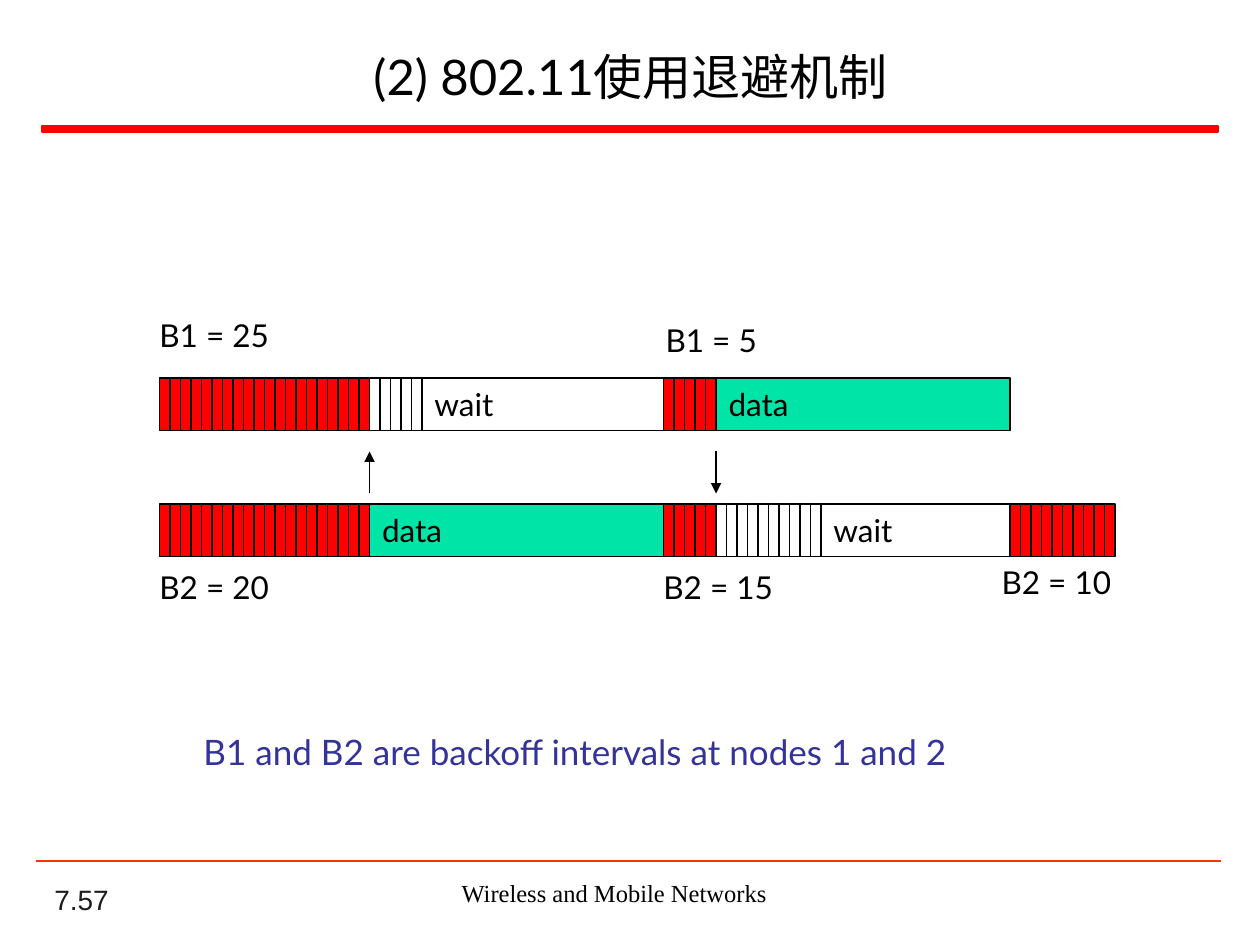
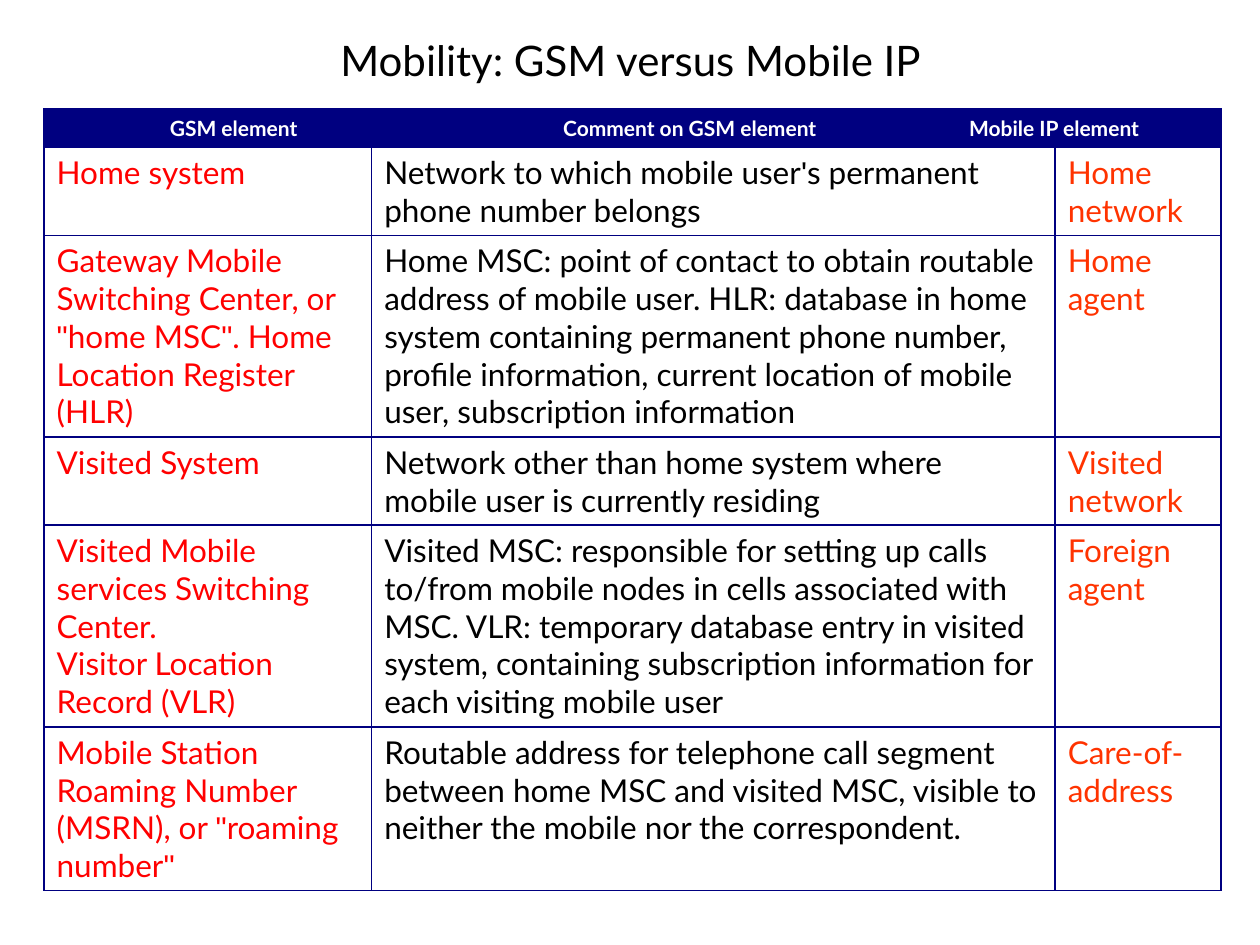
from dataclasses import dataclass
from itertools import groupby

from lxml.etree import SubElement
from pptx import Presentation
from pptx.dml.color import RGBColor
from pptx.enum.shapes import MSO_CONNECTOR, MSO_SHAPE
from pptx.enum.text import MSO_ANCHOR, PP_ALIGN
from pptx.oxml.ns import qn
from pptx.util import Inches, Pt


@dataclass(frozen=True)
class Theme:
    black: str = "000000"
    white: str = "FFFFFF"
    ink: str = "1C1C1C"
    red: str = "FF0000"
    orange: str = "FF3300"
    green: str = "00E4A8"
    indigo: str = "333399"
    navy: str = "000080"
    body: str = "Lato"
    sans: str = "Arial"
    serif: str = "Times New Roman"
    title: float = 28
    table_title: float = 24
    caption: float = 20
    text: float = 18
    number: float = 16
    footer: float = 14
    header: float = 12
    hairline: float = 0.75


T = Theme()
WIDTH, HEIGHT = Inches(10), Inches(7.5)
COLS, ROWS = 120, 90
LANE_LEFT, LANE_DEPTH = 15.2, 5
LEFT, CENTER = PP_ALIGN.LEFT, PP_ALIGN.CENTER
TOP, MIDDLE, BOTTOM = MSO_ANCHOR.TOP, MSO_ANCHOR.MIDDLE, MSO_ANCHOR.BOTTOM

LANES = [
    (36, [(20, "red", None), (5, None, None), (23, None, "wait"),
          (5, "red", None), (28, "green", "data")]),
    (48, [(20, "red", None), (28, "green", "data"), (5, "red", None),
          (10, None, None), (18, None, "wait"), (10, "red", None)]),
]
BACKOFFS = [
    ("B1 = 25", 14, 29.5, 13.3),
    ("B1 = 5", 62.2, 30, 11.6),
    ("B2 = 20", 14, 53.5, 13.3),
    ("B2 = 15", 62, 53.5, 13.3),
    ("B2 = 10", 94.2, 53, 13.3),
]
HEADERS = [
    (0, 1, "GSM element", CENTER),
    (2, 2, "Comment on GSM element", CENTER),
    (3, 4, "Mobile IP element", LEFT),
]
MOBILITY = [
    (8.4, "Home system",
     "Network to which mobile user's permanent phone number belongs",
     "Home network"),
    (19.2, 'Gateway Mobile Switching Center, or "home MSC". '
     "Home Location Register (HLR)",
     "Home MSC: point of contact to obtain routable address of mobile user. "
     "HLR: database in home system containing permanent phone number, profile "
     "information, current location of mobile user, subscription information",
     "Home agent"),
    (8.4, "Visited System",
     "Network other than home system where mobile user is currently residing",
     "Visited network"),
    (19.2, "Visited Mobile services Switching Center.\n"
     "Visitor Location Record (VLR)",
     "Visited MSC: responsible for setting up calls to/from mobile nodes in "
     "cells associated with MSC. VLR: temporary database entry in visited "
     "system, containing subscription information for each visiting mobile user",
     "Foreign agent"),
    (15.6, 'Mobile Station Roaming Number (MSRN), or "roaming number"',
     "Routable address for telephone call segment between home MSC and visited "
     "MSC, visible to neither the mobile nor the correspondent.",
     "Care-of-address"),
]


def x(cols):
    return round(WIDTH * cols / COLS)


def y(rows):
    return round(HEIGHT * rows / ROWS)


def box(left, top, width, height):
    return x(left), y(top), x(width), y(height)


def rgb(value):
    return RGBColor.from_string(value)


def apply(target, values):
    for name, value in values.items():
        setattr(target, name, value)


def paint(fill, color):
    if color:
        fill.solid()
        fill.fore_color.rgb = rgb(color)
    else:
        fill.background()


def write(tf, text, size, color=T.black, font=T.body, align=LEFT, bold=False):
    for i, line in enumerate(text.split("\n")):
        p = tf.add_paragraph() if i else tf.paragraphs[0]
        p.alignment = align
        for quoted, chars in groupby(line, lambda c: c in "'\""):
            r = p.add_run()
            r.text = "".join(chars)
            apply(r.font, {"name": T.sans if quoted else font,
                           "size": Pt(size), "bold": bold})
            r.font.color.rgb = rgb(color)


def add_text(s, frame, text, size, anchor=TOP, **style):
    tf = s.shapes.add_textbox(*box(*frame)).text_frame
    apply(tf, {"word_wrap": True, "vertical_anchor": anchor})
    write(tf, text, size, **style)


def add_title(s, text, size, height):
    add_text(s, (4.2, 3, 111.7, height), text, size, MIDDLE, align=CENTER)


def add_bar(s, frame, fill, text=None, line=T.black, weight=T.hairline):
    sp = s.shapes.add_shape(MSO_SHAPE.RECTANGLE, *box(*frame))
    sp.shadow.inherit = False
    paint(sp.fill, fill)
    paint(sp.line.fill, line)
    sp.line.width = Pt(weight)
    if text:
        apply(sp.text_frame, {"word_wrap": True, "vertical_anchor": MIDDLE})
        write(sp.text_frame, text, T.text)


def add_line(s, start, end, color, weight, arrow=False):
    c = s.shapes.add_connector(MSO_CONNECTOR.STRAIGHT, x(start[0]), y(start[1]),
                               x(end[0]), y(end[1]))
    paint(c.line.fill, color)
    c.line.width = Pt(weight)
    if arrow:
        SubElement(c.line._get_or_add_ln(), qn("a:tailEnd"), type="triangle")
    SubElement(c._element.spPr, qn("a:effectLst"))


def add_bands(s, number):
    add_text(s, (4, 83.8, 25, 4), number, T.number, BOTTOM, color=T.ink, font=T.sans)
    add_bar(s, (4, 12, 112, 0.6), T.red, line=T.red, weight=1)
    add_line(s, (3.4, 82), (116.3, 82), T.orange, 1.5)
    add_text(s, (34, 83, 49, 4), "Wireless and Mobile Networks", T.footer,
             font=T.serif, align=CENTER)


def add_lane(s, top, segments):
    left = LANE_LEFT
    for slots, fill, text in segments:
        color = getattr(T, fill) if fill else None
        step = slots if text else 1
        for i in range(0, slots, step):
            add_bar(s, (left + i, top, step, LANE_DEPTH), color, text)
        left += slots


def add_borders(cell):
    tcPr = cell._tc.get_or_add_tcPr()
    for side in ("lnL", "lnR", "lnT", "lnB"):
        ln = SubElement(tcPr, qn(f"a:{side}"), w=str(Pt(1)))
        SubElement(SubElement(ln, qn("a:solidFill")), qn("a:srgbClr"), val=T.navy)


def add_mobility_table(s):
    widths = [31.2, 4.9, 50.8, 9.4, 15.8]
    heights = [3.6] + [row[0] for row in MOBILITY]
    table = s.shapes.add_table(len(heights), len(widths), *box(
        4.2, 10.4, sum(widths), sum(heights))).table
    apply(table, {"first_row": False, "horz_banding": False})
    for column, width in zip(table.columns, widths):
        column.width = x(width)
    for i, height in enumerate(heights):
        table.rows[i].height = y(height)
        for cell in table.rows[i].cells:
            add_borders(cell)
            paint(cell.fill, None if i else T.navy)
    for first, last, text, align in HEADERS:
        cell = table.cell(0, first)
        if last > first:
            cell.merge(table.cell(0, last))
        write(cell.text_frame, text, T.header, T.white, align=align, bold=True)
    for i, (_, gsm, comment, mobile_ip) in enumerate(MOBILITY, 1):
        table.cell(i, 1).merge(table.cell(i, 3))
        for col, text, color in ((0, gsm, T.red), (1, comment, T.black),
                                 (4, mobile_ip, T.orange)):
            write(table.cell(i, col).text_frame, text, T.text, color)


def build_backoff(s):
    add_bands(s, "7.57")
    add_title(s, "(2) 802.11使用退避机制", T.title, 8.4)
    for top, segments in LANES:
        add_lane(s, top, segments)
    for text, left, top, width in BACKOFFS:
        add_text(s, (left, top, width, 4.8), text, T.text)
    for slot, start, end in ((20, 47, 43), (53, 43, 47)):
        col = LANE_LEFT + slot
        add_line(s, (col, start), (col, end), T.black, T.hairline, arrow=True)
    add_text(s, (18.2, 68.9, 79.8, 5.3),
             "B1 and B2 are backoff intervals at nodes 1 and 2",
             T.caption, MIDDLE, color=T.indigo)


def build_mobility(s):
    add_title(s, "Mobility: GSM versus Mobile IP", T.table_title, 5.3)
    add_mobility_table(s)


def main():
    prs = Presentation()
    apply(prs, {"slide_width": WIDTH, "slide_height": HEIGHT})
    for build in (build_backoff, build_mobility):
        build(prs.slides.add_slide(prs.slide_layouts[6]))
    prs.save("out.pptx")


if __name__ == "__main__":
    main()
